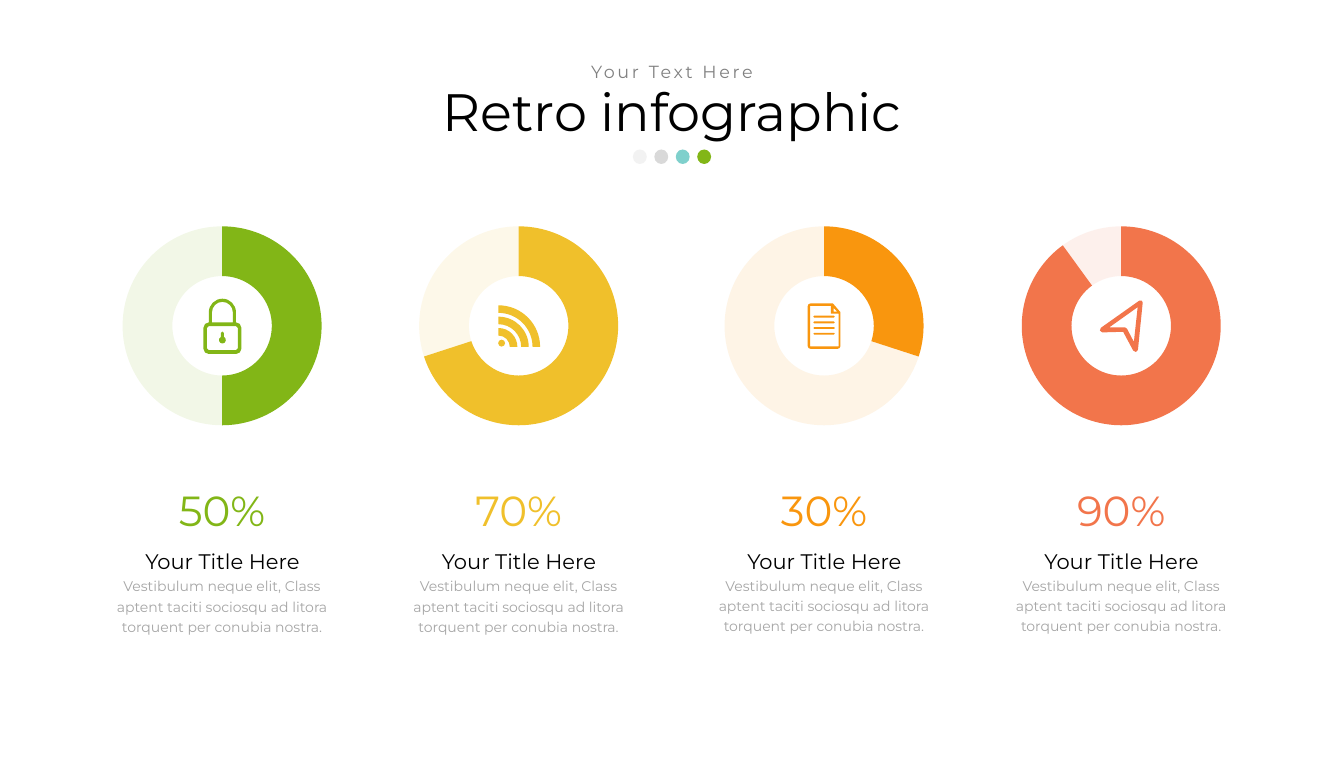
from dataclasses import dataclass
from math import ceil, cos, radians, sin, tan

from lxml import etree
from pptx import Presentation
from pptx.chart import data as chart_data
from pptx.dml.color import RGBColor
from pptx.enum import chart as charts, shapes, text
from pptx.oxml import ns
from pptx.util import Inches, Pt


@dataclass(frozen=True)
class Theme:
    font: str = "Montserrat"
    chart_font: str = "Calibri"
    black: str = "000000"
    subtitle: str = "808080"
    body: str = "A6A6A6"
    green: str = "82B617"
    yellow: str = "F0C02B"
    orange: str = "F9960E"
    coral: str = "F2754B"
    dots: tuple = (("F2F2F2", 100), ("D9D9D9", 98), ("00A39B", 50), ("82B617", 100))
    heading_size: int = 60
    percent_size: int = 48
    title_size: int = 24
    subtitle_size: int = 20
    body_size: int = 16
    chart_size: int = 10


THEME = Theme()
TITLE = "Your Title Here"
BODY = "Vestibulum neque elit, Class aptent taciti sociosqu ad litora torquent per conubia nostra."


def paint(fill, color, opacity=100):
    fill.solid()
    fill.fore_color.rgb = RGBColor.from_string(color)
    if opacity < 100:
        color_node = fill._xPr.find(".//" + ns.qn("a:srgbClr"))
        etree.SubElement(color_node, ns.qn("a:alpha"), val=str(opacity * 1000))


def add_label(slide, box, words, size, color, line_spacing=None, wrap=True, grow=True, tracking=0):
    frame = slide.shapes.add_textbox(*map(Inches, box)).text_frame
    frame.word_wrap = wrap
    if grow:
        frame.auto_size = text.MSO_AUTO_SIZE.SHAPE_TO_FIT_TEXT
    paragraph = frame.paragraphs[0]
    run = paragraph.add_run()
    run.text = words
    if tracking:
        run._r.get_or_add_rPr().set("spc", str(tracking * 100))
    paragraph.alignment = text.PP_ALIGN.CENTER
    if line_spacing:
        paragraph.line_spacing = line_spacing
    paragraph.font.name = THEME.font
    paragraph.font.size = Pt(size)
    paragraph.font.color.rgb = RGBColor.from_string(color)


def add_dots(slide):
    for index, (color, opacity) in enumerate(THEME.dots):
        box = (10.03 + 0.34 * index, 2.37, 0.22, 0.23)
        dot = slide.shapes.add_shape(shapes.MSO_SHAPE.OVAL, *map(Inches, box))
        dot.shadow.inherit = False
        dot.line.fill.background()
        paint(dot.fill, color, opacity)


def add_ring(slide, left, percent, color):
    shares = chart_data.CategoryChartData()
    shares.categories = ["1", "2"]
    shares.add_series("Series 1", (percent, 100 - percent, None, None))
    box = map(Inches, (left, 3.45, 3.62, 3.43))
    ring = slide.shapes.add_chart(charts.XL_CHART_TYPE.DOUGHNUT, *box, shares).chart
    ring.has_legend = False
    ring.has_title = False
    ring.font.name = THEME.chart_font
    ring.font.size = Pt(THEME.chart_size)
    ring.font.color.rgb = RGBColor.from_string(THEME.black)
    plot = ring.plots[0]
    plot.vary_by_categories = True
    plot._element.find(ns.qn("c:holeSize")).set("val", "84")
    for index, opacity in enumerate((100, 10)):
        slice_format = plot.series[0].points[index].format
        paint(slice_format.fill, color, opacity)
        slice_format.line.fill.background()


def line(*points):
    return [(point,) for point in points]


def arc(x, y, radius, start, end):
    count = ceil(abs(end - start) / 90)
    sweep = radians(end - start) / count
    reach = 4 / 3 * tan(sweep / 4)
    steps = line((x + radius * cos(radians(start)), y + radius * sin(radians(start))))
    for index in range(count):
        a = radians(start) + sweep * index
        b = a + sweep
        steps.append((
            (x + radius * (cos(a) - reach * sin(a)), y + radius * (sin(a) + reach * cos(a))),
            (x + radius * (cos(b) + reach * sin(b)), y + radius * (sin(b) - reach * cos(b))),
            (x + radius * cos(b), y + radius * sin(b)),
        ))
    return steps


def rounded(left, top, right, bottom, radius):
    return (arc(left + radius, top + radius, radius, 180, 270)
            + arc(right - radius, top + radius, radius, 270, 360)
            + arc(right - radius, bottom - radius, radius, 0, 90)
            + arc(left + radius, bottom - radius, radius, 90, 180))


def bar(left, right, y, radius):
    return arc(right - radius, y, radius, -90, 90) + arc(left + radius, y, radius, 90, 270)


def lock():
    x = 3.525
    outline = (arc(x, 4.95, 0.215, 180, 360) + arc(3.74, 5.195, 0.085, 270, 360)
               + arc(3.745, 5.53, 0.08, 0, 90) + arc(3.305, 5.53, 0.08, 90, 180)
               + arc(3.31, 5.195, 0.085, 180, 270))
    shackle = arc(x, 4.95, 0.165, 180, 360) + line((3.69, 5.11), (3.36, 5.11))
    keyhole = arc(x, 5.39, 0.055, -63, 243) + arc(x, 5.28, 0.025, 180, 360)
    return [outline, shackle, rounded(3.28, 5.17, 3.77, 5.55, 0.03), keyhole]


def feed():
    x, y = 7.9, 5.5
    waves = [arc(x, y, outer, 270, 360) + arc(x, y, outer - 0.12, 360, 270)
             for outer in (0.3, 0.48, 0.66)]
    return waves + [arc(7.95, 5.44, 0.055, 0, 360)]


def document():
    page = (arc(12.845, 4.855, 0.045, 180, 270) + line((13.2, 4.81), (13.32, 4.95))
            + arc(13.275, 5.485, 0.045, 0, 90) + arc(12.845, 5.485, 0.045, 90, 180))
    inside = line((12.84, 4.85), (13.17, 4.85), (13.17, 4.97), (13.29, 4.97),
                  (13.29, 5.49), (12.84, 5.49))
    fold = line((13.21, 4.88), (13.27, 4.94), (13.21, 4.94))
    rows = [bar(12.89, 13.23, y, 0.015) for y in (5.02, 5.11, 5.2, 5.29)]
    return [page, inside, fold] + rows


def pointer():
    outline = (arc(18.075, 4.795, 0.035, 240, 360) + arc(17.995, 5.54, 0.04, 10, 155)
               + line((17.8, 5.26)) + arc(17.47, 5.23, 0.04, 90, 235))
    inside = line((17.58, 5.19), (17.83, 5.19), (17.86, 5.21), (17.97, 5.42), (18.03, 4.87))
    return [outline, inside]


def curve_segments(icon, contours):
    segments = icon._element.findall(".//" + ns.qn("a:path") + "/*")
    drawn = [node for node in segments if node.tag != ns.qn("a:close")]
    steps = [step for contour in contours for step in contour]
    for node, step in zip(drawn, steps):
        if len(step) == 3:
            curve = etree.Element(ns.qn("a:cubicBezTo"))
            for x, y in step:
                etree.SubElement(curve, ns.qn("a:pt"), x=str(Inches(x) - icon.left),
                                 y=str(Inches(y) - icon.top))
            node.getparent().replace(node, curve)


def add_icon(slide, contours, color):
    builder = None
    for contour in contours:
        anchors = [tuple(map(Inches, step[-1])) for step in contour]
        if builder is None:
            builder = slide.shapes.build_freeform(*anchors[0])
        else:
            builder.move_to(*anchors[0])
        builder.add_line_segments(anchors[1:], close=True)
    icon = builder.convert_to_shape()
    curve_segments(icon, contours)
    icon.shadow.inherit = False
    icon.line.fill.background()
    paint(icon.fill, color)


def add_column(slide, left, body_top, percent, color, contours):
    add_label(slide, (left - 0.05, 8.57, 3.73, 0.55), TITLE, THEME.title_size, THEME.black, 1.2)
    add_label(slide, (left - 0.02, body_top, 3.66, 1.07), BODY, THEME.body_size, THEME.body, 1.2)
    add_label(slide, (left + 0.93, 7.63, 1.76, 0.91), f"{percent}%",
              THEME.percent_size, color, wrap=False)
    add_ring(slide, left, percent, color)
    add_icon(slide, contours, color)


def main():
    deck = Presentation()
    deck.slide_width, deck.slide_height = Inches(21.3), Inches(12)
    slide = deck.slides.add_slide(deck.slide_layouts[6])
    add_label(slide, (1.02, 1.31, 19.26, 1.03), "Retro infographic",
              THEME.heading_size, THEME.black, 0.9, grow=False)
    add_label(slide, (7.48, 0.95, 6.34, 0.35), "Your Text Here",
              THEME.subtitle_size, THEME.subtitle, 0.9, grow=False, tracking=3)
    add_dots(slide)
    columns = (
        (1.71, 9.06, 50, THEME.green, lock()),
        (6.41, 9.06, 70, THEME.yellow, feed()),
        (11.25, 9.05, 30, THEME.orange, document()),
        (15.96, 9.05, 90, THEME.coral, pointer()),
    )
    for column in columns:
        add_column(slide, *column)
    deck.save("out.pptx")


if __name__ == "__main__":
    main()
